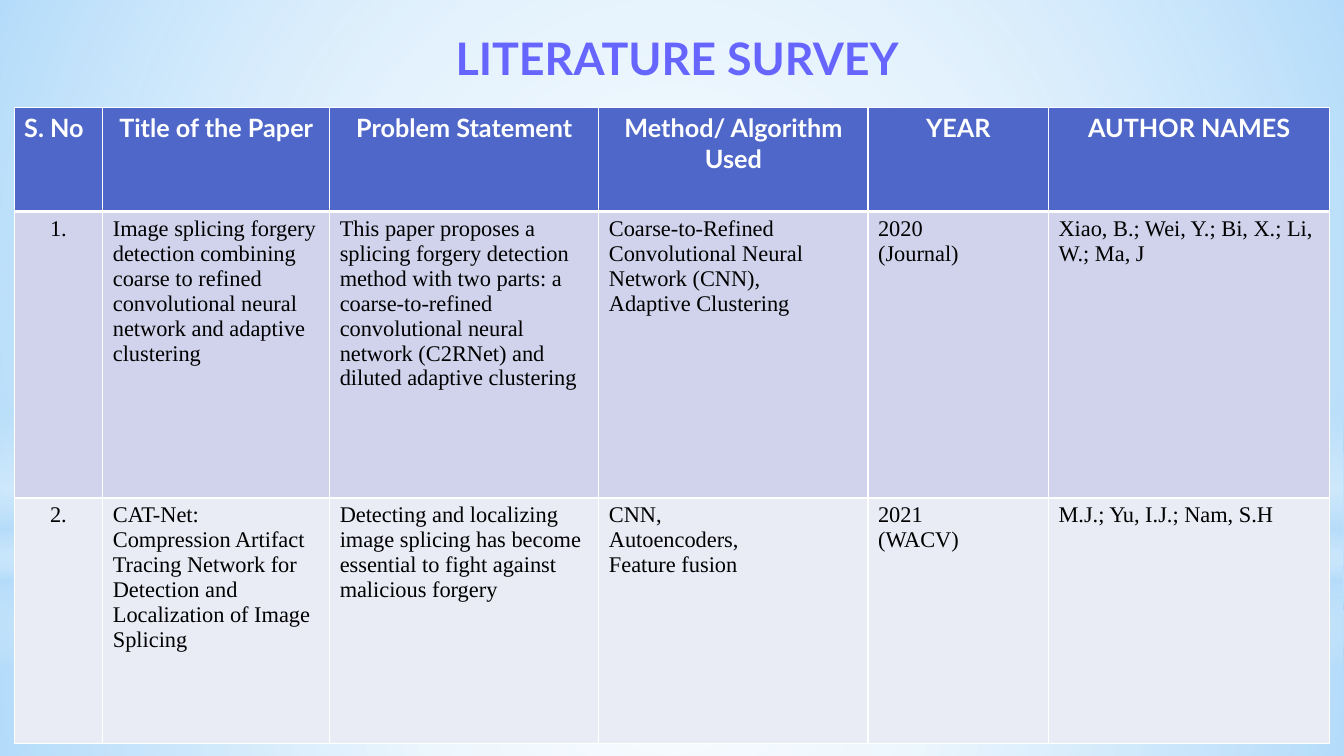
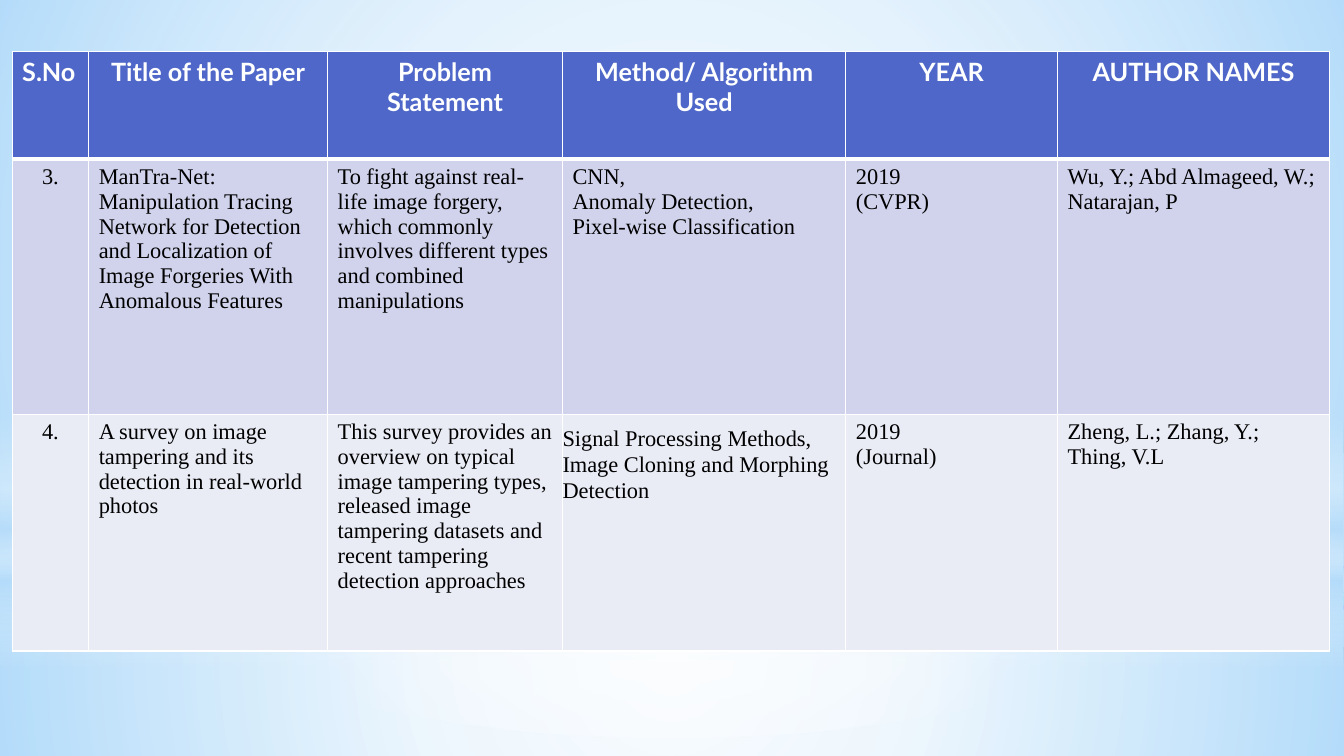
import lxml.etree
import pptx
import pptx.dml.color
import pptx.enum.shapes
import pptx.enum.text
import pptx.oxml.ns
import pptx.util

SHAPES = pptx.enum.shapes.MSO_SHAPE
CENTER = pptx.enum.text.PP_ALIGN.CENTER
LEFT = pptx.enum.text.PP_ALIGN.LEFT

# Shared colours and fonts
WHITE, SKY, BLACK = "FFFFFF", "B4DCFA", "000000"
TITLE_COLOR, HEADER_FILL = "6666FF", "4E67C8"
BAND_FILLS = ("D0D3EB", "E9EBF5")
HEADING_FONT, BODY_FONT = "Lato", "Times New Roman"
THIN, THICK = 1, 3

# Glow layers: shape, (left, top, width, height), stops (position, colour, opacity), radial
GLOWS = [
    (SHAPES.RECTANGLE, (0, 74.4, 100, 25.6),
     [(0, WHITE, 91), (37, WHITE, 76), (100, SKY, 79)], True),
    (SHAPES.RECTANGLE, (0, 0, 100, 74.4),
     [(0, WHITE, 89), (48, WHITE, 62), (100, SKY, 79)], True),
    (SHAPES.RECTANGLE, (0, 54.93, 100, 33.33),
     [(0, WHITE, 0), (29, WHITE, 30), (45, SKY, 40),
      (55, WHITE, 26), (65, SKY, 60), (100, WHITE, 0)], False),
    (SHAPES.OVAL, (0, 23.33, 100, 74.4),
     [(0, WHITE, 100), (56, WHITE, 0)], True),
]

HEADINGS = ["Title of the Paper", "Problem Statement", "Method/ Algorithm Used",
            "YEAR", "AUTHOR NAMES"]


def color(value):
    return pptx.dml.color.RGBColor.from_string(value)


def add_element(parent, tag, **attributes):
    element = lxml.etree.SubElement(parent, pptx.oxml.ns.qn(tag))
    for name, value in attributes.items():
        element.set(name, str(value))
    return element


class Deck:
    """Holds the style and the current slide; lengths are on a 100 x 100 grid."""

    def __init__(self):
        self.presentation = pptx.Presentation()
        self.presentation.slide_width = pptx.util.Inches(13.33)
        self.presentation.slide_height = pptx.util.Inches(7.5)
        self.slide = None

    def columns(self, count):
        return round(self.presentation.slide_width * count / 100)

    def rows(self, count):
        return round(self.presentation.slide_height * count / 100)

    def box(self, left, top, width, height):
        return self.columns(left), self.rows(top), self.columns(width), self.rows(height)

    def add_slide(self):
        blank = self.presentation.slide_layouts[6]
        self.slide = self.presentation.slides.add_slide(blank)
        background = self.slide.background.fill
        background.solid()
        background.fore_color.rgb = color(SKY)
        for glow in GLOWS:
            self.add_glow(*glow)

    def add_glow(self, kind, box, stops, radial):
        shape = self.slide.shapes.add_shape(kind, *self.box(*box))
        shape.shadow.inherit = False
        shape.line.fill.background()
        shape.fill.background()
        properties = shape._element.spPr
        gradient = add_element(properties, "a:gradFill", rotWithShape=1)
        properties.replace(properties.find(pptx.oxml.ns.qn("a:noFill")), gradient)
        stop_list = add_element(gradient, "a:gsLst")
        for position, value, opacity in stops:
            stop = add_element(stop_list, "a:gs", pos=position * 1000)
            stop_color = add_element(stop, "a:srgbClr", val=value)
            add_element(stop_color, "a:alpha", val=opacity * 1000)
        if radial:
            circle = add_element(gradient, "a:path", path="circle")
            add_element(circle, "a:fillToRect", l=50000, t=50000, r=50000, b=50000)
        else:
            add_element(gradient, "a:lin", ang=90 * 60000, scaled=0)

    def set_text(self, frame, text, font, size, value, bold=False, align=LEFT):
        frame.word_wrap = True
        frame.text = text
        for paragraph in frame.paragraphs:
            paragraph.alignment = align
            paragraph.font.name = font
            paragraph.font.size = pptx.util.Pt(size)
            paragraph.font.bold = bold
            paragraph.font.color.rgb = color(value)

    def add_title(self, text):
        shape = self.slide.shapes.add_textbox(*self.box(12.3, 3.07, 76.2, 9.07))
        self.set_text(shape.text_frame, text, HEADING_FONT, 32, TITLE_COLOR, True, CENTER)
        shape.text_frame.vertical_anchor = pptx.enum.text.MSO_ANCHOR.MIDDLE

    def fill_cell(self, cell, value, top, bottom):
        cell.fill.solid()
        cell.fill.fore_color.rgb = color(value)
        properties = cell._tc.get_or_add_tcPr()
        borders = {"a:lnL": THIN, "a:lnR": THIN, "a:lnT": top, "a:lnB": bottom}
        for index, (tag, width) in enumerate(borders.items()):
            line = add_element(properties, tag, w=pptx.util.Pt(width))
            add_element(add_element(line, "a:solidFill"), "a:srgbClr", val=WHITE)
            properties.insert(index, line)

    def add_table(self, left, top, widths, heights, contents):
        frame = self.slide.shapes.add_table(
            len(heights), len(widths), *self.box(left, top, sum(widths), sum(heights)))
        table = frame.table
        table.horz_banding = False
        for column, width in zip(table.columns, widths):
            column.width = self.columns(width)
        for row, height in zip(table.rows, heights):
            row.height = self.rows(height)
        for row_index, texts in enumerate(contents):
            header = row_index == 0
            for column_index, text in enumerate(texts):
                cell = table.cell(row_index, column_index)
                # Headings are centred except the first; in the body only numbers are
                align = CENTER if header != (column_index == 0) else LEFT
                if header:
                    self.set_text(cell.text_frame, text, HEADING_FONT, 18, WHITE, True, align)
                    self.fill_cell(cell, HEADER_FILL, THIN, THICK)
                else:
                    self.set_text(cell.text_frame, text, BODY_FONT, 16, BLACK, False, align)
                    self.fill_cell(cell, BAND_FILLS[(row_index - 1) % 2],
                                   THICK if row_index == 1 else THIN, THIN)
        return table

    def loosen(self, cell):
        """Drop the side margins and open up the lines of one cell."""
        cell.margin_left = cell.margin_right = cell.margin_bottom = 0
        cell.margin_top = pptx.util.Inches(0.11)
        for paragraph in cell.text_frame.paragraphs:
            paragraph.line_spacing = 1.05
            paragraph.space_after = pptx.util.Pt(10)


def main():
    deck = Deck()

    # Slide 1: papers 1 and 2
    deck.add_slide()
    deck.add_title("LITERATURE SURVEY")
    deck.add_table(
        1.05, 14.27,
        [6.6, 16.88, 20.03, 20.03, 13.43, 20.93], [13.73, 37.87, 32.53],
        [["S. No"] + HEADINGS,
         ["1.",
          "Image splicing forgery detection combining coarse to refined "
          "convolutional neural network and adaptive clustering",
          "This paper proposes a splicing forgery detection method with two parts: "
          "a coarse-to-refined convolutional neural network (C2RNet) and diluted "
          "adaptive clustering",
          "Coarse-to-Refined Convolutional Neural Network (CNN),\nAdaptive Clustering",
          "2020\n(Journal)",
          "Xiao, B.; Wei, Y.; Bi, X.; Li, W.; Ma, J"],
         ["2.",
          "CAT-Net: Compression Artifact Tracing Network for Detection and "
          "Localization of Image Splicing",
          "Detecting and localizing image splicing has become essential to fight "
          "against malicious forgery",
          "CNN,\nAutoencoders,\nFeature fusion",
          "2021\n(WACV)",
          "M.J.; Yu, I.J.; Nam, S.H"]])

    # Slide 2: papers 3 and 4
    deck.add_slide()
    table = deck.add_table(
        0.9, 6.8,
        [5.7, 17.78, 17.48, 21.08, 15.75, 20.25], [14.27, 33.73, 31.33],
        [["S.No"] + HEADINGS,
         ["3.",
          "ManTra-Net: Manipulation Tracing Network for Detection and Localization "
          "of Image Forgeries With Anomalous Features",
          "To fight against real-life image forgery, which commonly involves "
          "different types and combined manipulations",
          "CNN,\nAnomaly Detection,\nPixel-wise Classification",
          "2019\n(CVPR)",
          "Wu, Y.; Abd Almageed, W.; Natarajan, P"],
         ["4.",
          "A survey on image tampering and its detection in real-world photos",
          "This survey provides an overview on typical image tampering types, "
          "released image tampering datasets and recent tampering detection approaches",
          "Signal Processing Methods, Image Cloning and Morphing Detection",
          "2019\n(Journal)",
          "Zheng, L.; Zhang, Y.; Thing, V.L"]])
    deck.loosen(table.cell(2, 3))

    deck.presentation.save("out.pptx")


if __name__ == "__main__":
    main()
